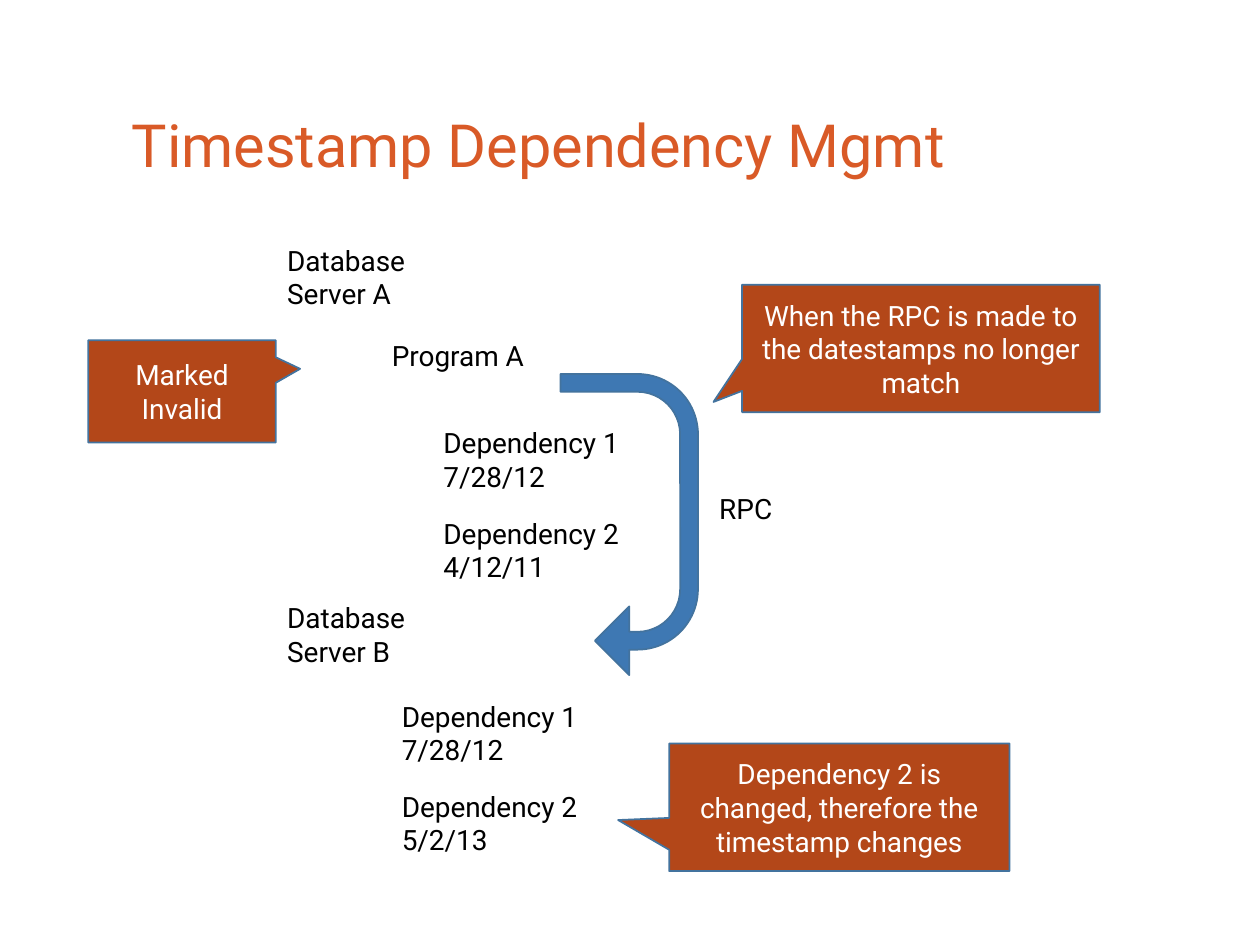
"""Build a slide showing how timestamp dependency management invalidates a program."""
from pptx import Presentation
from pptx import util as u
from pptx.dml.color import RGBColor
from pptx.enum import shapes, text

COLORS = {"title": "D95A27", "body": "000000", "callout": "B34719",
          "callout_text": "FFFFFF", "arrow": "3E78B3", "outline": "43739E"}
TITLE = ("Timestamp Dependency Mgmt", (2.41, 2.01, 20.42, 1.75))
LABELS = [
    ("Database Server A", (5.54, 4.78, 4.45, 1.63)),
    ("Program A", (7.65, 6.71, 3.66, 0.94)),
    ("Database Server B", (5.54, 11.99, 4.45, 1.63)),
    ("RPC", (14.25, 9.78, 3.66, 1.24)),
]
DEPENDENCIES = [
    ((8.69, 8.46), ["7/28/12", "4/12/11"]),
    ((7.85, 13.97), ["7/28/12", "5/2/13"]),
]
DEPENDENCY_SIZE = (4.24, 1.63)
DEPENDENCY_PITCH = 1.82
CALLOUTS = [
    ("When the RPC is made to the datestamps no longer match",
     (14.96, 5.74, 7.21, 2.57), (-0.58, 0.42)),
    ("Dependency 2 is changed, therefore the timestamp changes",
     (13.49, 14.99, 6.86, 2.57), (-0.65, 0.1)),
    ("Marked Invalid", (1.78, 6.86, 3.78, 2.06), (0.63, -0.22)),
]
ARROW = ((9.65, 9.19, 6.07, 2.77), (0.13, 0.25, 0.25, 0.44, 0.75))
BODY_FONT = {"name": "Roboto", "size": u.Pt(16)}
TITLE_FONT = {"name": "Roboto", "size": u.Pt(34)}


def lengths(box):
    return [u.Cm(value) for value in box]


def set_attributes(target, values):
    for name, value in values.items():
        setattr(target, name, value)


def write(shape, lines, color, font=BODY_FONT, frame=None, paragraph_format=None):
    set_attributes(shape.text_frame, {"word_wrap": True, **(frame or {})})
    shape.text_frame.text = "\n".join(lines)
    for paragraph in shape.text_frame.paragraphs:
        set_attributes(paragraph, paragraph_format or {})
        set_attributes(paragraph.font, font)
        paragraph.font.color.rgb = RGBColor.from_string(COLORS[color])


def add_label(slide, lines, box, color="body", **formats):
    write(slide.shapes.add_textbox(*lengths(box)), lines, color, **formats)


def add_figure(slide, kind, box, fill, adjustments):
    shape = slide.shapes.add_shape(kind, *lengths(box))
    shape.shadow.inherit = False
    shape.fill.solid()
    shape.fill.fore_color.rgb = RGBColor.from_string(COLORS[fill])
    shape.line.color.rgb = RGBColor.from_string(COLORS["outline"])
    shape.line.width = u.Pt(1)
    for index, value in enumerate(adjustments):
        shape.adjustments[index] = value
    return shape


def main():
    presentation = Presentation()
    set_attributes(presentation, {"slide_width": u.Cm(25.4), "slide_height": u.Cm(19.05)})
    slide = presentation.slides.add_slide(presentation.slide_layouts[6])

    title, title_box = TITLE
    add_label(slide, [title], title_box, "title", font=TITLE_FONT,
              frame={"vertical_anchor": text.MSO_ANCHOR.BOTTOM},
              paragraph_format={"line_spacing": 0.9})
    for label, box in LABELS:
        add_label(slide, [label], box)
    for (left, top), dates in DEPENDENCIES:
        for index, date in enumerate(dates):
            box = (left, top + index * DEPENDENCY_PITCH, *DEPENDENCY_SIZE)
            add_label(slide, [f"Dependency {index + 1}", date], box,
                      frame={"word_wrap": False})

    arrow_box, arrow_adjustments = ARROW
    arrow = add_figure(slide, shapes.MSO_SHAPE.U_TURN_ARROW, arrow_box,
                       "arrow", arrow_adjustments)
    arrow.rotation = 90
    for message, box, pointer in CALLOUTS:
        callout = add_figure(slide, shapes.MSO_SHAPE.RECTANGULAR_CALLOUT, box,
                             "callout", pointer)
        write(callout, [message], "callout_text",
              frame={"vertical_anchor": text.MSO_ANCHOR.MIDDLE},
              paragraph_format={"alignment": text.PP_ALIGN.CENTER})
    presentation.save("out.pptx")


if __name__ == "__main__":
    main()
